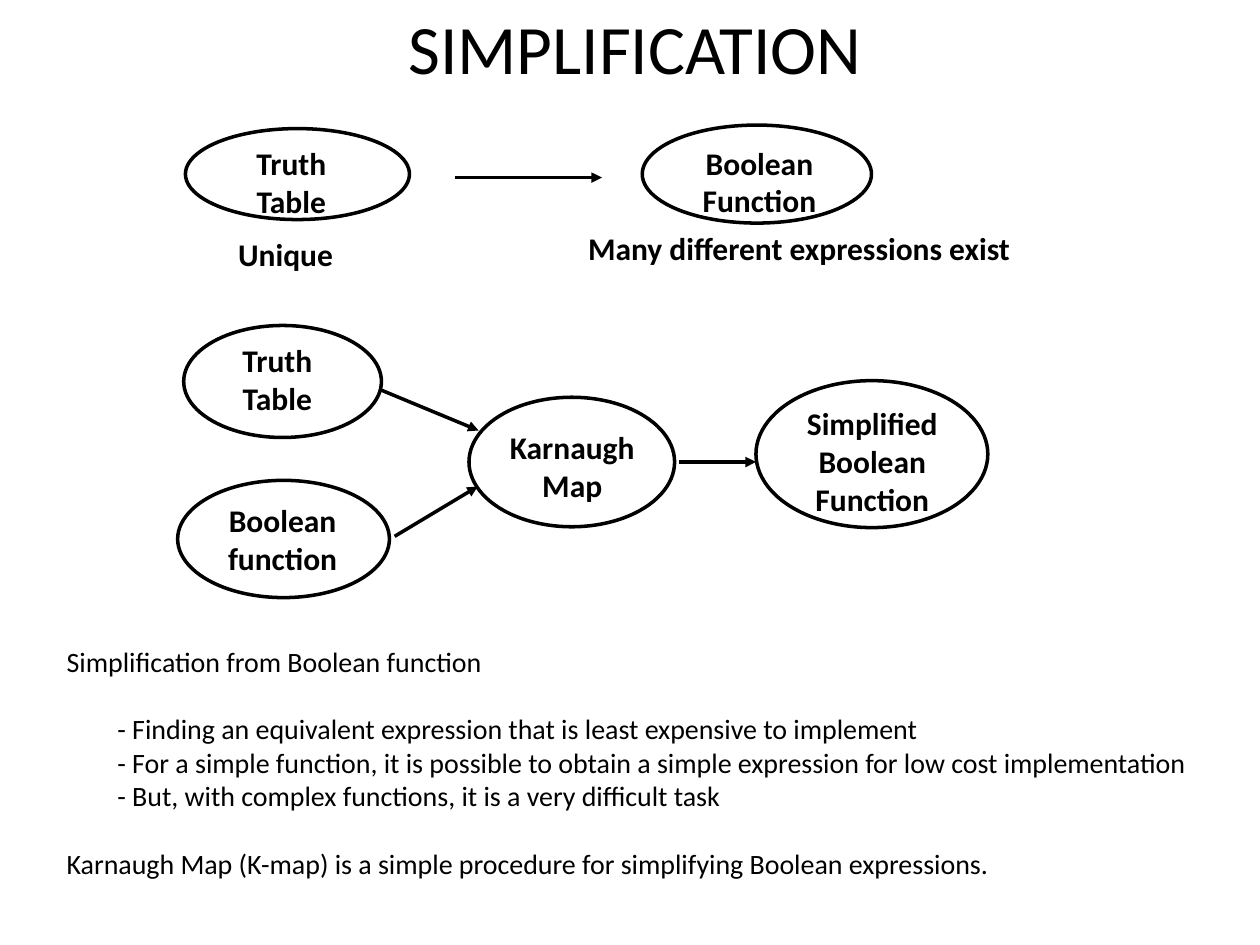
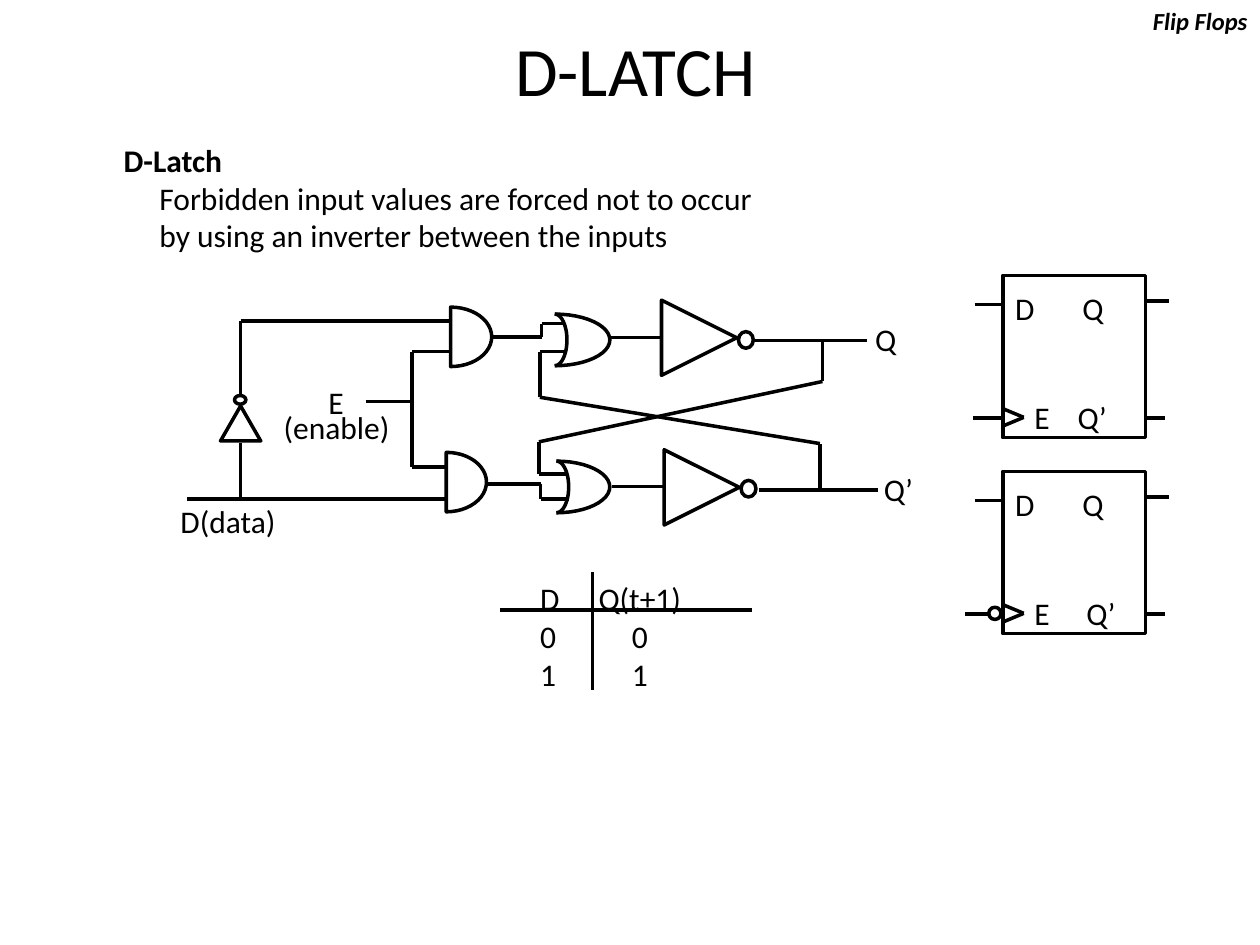
from math import cos, pi, sin

from lxml import etree
from pptx import Presentation
from pptx.dml.color import RGBColor
from pptx.enum.shapes import MSO_CONNECTOR, MSO_SHAPE
from pptx.enum.text import MSO_ANCHOR, MSO_AUTO_SIZE, PP_ALIGN
from pptx.oxml.ns import qn
from pptx.util import Pt

BLACK = RGBColor(0, 0, 0)
FONT = "Calibri"
LINE_WIDTH = Pt(2)
LEFT, CENTER, RIGHT = PP_ALIGN.LEFT, PP_ALIGN.CENTER, PP_ALIGN.RIGHT
MIDDLE = MSO_ANCHOR.MIDDLE
GROW, FIXED = MSO_AUTO_SIZE.SHAPE_TO_FIT_TEXT, MSO_AUTO_SIZE.NONE
STRAIGHT = MSO_CONNECTOR.STRAIGHT
OVAL, TRIANGLE, RECTANGLE = MSO_SHAPE.OVAL, MSO_SHAPE.ISOSCELES_TRIANGLE, MSO_SHAPE.RECTANGLE


def add_text(page, place, lines, align=LEFT, wrap=False, tab=None, **font_format):
    """Write one paragraph per line; tab is the place of a centred tab stop."""
    box = page.shapes.add_textbox(*map(Pt, place))
    frame = box.text_frame
    frame.word_wrap = wrap
    frame.auto_size = FIXED if wrap else GROW
    for number, line in enumerate(lines):
        para = frame.paragraphs[0] if number == 0 else frame.add_paragraph()
        para.alignment = align
        span = para.add_run()
        span.text = line
        for name, value in {"name": FONT, "size": Pt(18), **font_format}.items():
            setattr(span.font, name, value)
        span.font.color.rgb = BLACK
        if tab:
            stops = etree.SubElement(para._p.get_or_add_pPr(), qn("a:tabLst"))
            etree.SubElement(stops, qn("a:tab"), pos=str(Pt(tab)), algn="ctr")
    return frame


def add_route(page, *points, arrow=False):
    """Join the points one after another with straight connectors."""
    for start, end in zip(points, points[1:]):
        line = page.shapes.add_connector(STRAIGHT, *map(Pt, start + end))
        line.line.color.rgb = BLACK
        line.line.width = LINE_WIDTH
        if arrow:
            etree.SubElement(line.line._get_or_add_ln(), qn("a:tailEnd"), type="triangle")
        etree.SubElement(line._element.spPr, qn("a:effectLst"))


deck = Presentation()
deck.slide_width, deck.slide_height = Pt(720), Pt(540)
outlines = []
pages = []
for title, title_top in (("SIMPLIFICATION", 12), ("D-LATCH", 24.5)):
    page = deck.slides.add_slide(deck.slide_layouts[6])
    frame = add_text(page, (27.5, title_top, 671, 29.5), [title], CENTER, True, size=Pt(39.6))
    frame.vertical_anchor = MIDDLE
    pages.append(page)
simplification, latch = pages

# Simplification: flow diagram
STEPS = [
    ((106, 73.5, 128, 52), (136, 79, 61, 46), ["Truth", "Table"]),
    ((367, 71.5, 131, 56), (389, 78.5, 90, 46), ["Boolean", "Function"]),
    ((105, 186, 113, 64), (128, 191.5, 61, 46), ["Truth", "Table"]),
    ((101.5, 274.5, 121, 67), (119, 283, 85, 46), ["Boolean", "function"]),
    ((268, 227, 117.5, 74), (278, 241, 98, 46), ["Karnaugh", "Map"]),
    ((432, 217.5, 132.5, 84), (448.5, 227.5, 100, 66), ["Simplified", "Boolean", "Function"]),
]
for ellipse_place, label_place, label in STEPS:
    outlines.append(simplification.shapes.add_shape(OVAL, *map(Pt, ellipse_place)))
    add_text(simplification, label_place, label, CENTER, bold=True)
for start, end in [
    ((260, 101.5), (344, 101.5)),
    ((218, 223), (273.5, 246)),
    ((225.5, 306.5), (273, 278)),
    ((388, 264), (432, 264)),
]:
    add_route(simplification, start, end, arrow=True)
add_text(simplification, (129, 130.5, 75.5, 26.5), ["Unique"], bold=True)
add_text(simplification, (329, 127.5, 293, 26.5), ["Many different expressions exist"], bold=True)

# Simplification: explanation
explanation = add_text(simplification, (31, 364.5, 666, 142.5), [
    "Simplification from Boolean function",
    "- Finding an equivalent expression that is least expensive to implement",
    "- For a simple function, it is possible to obtain a simple expression for low cost implementation",
    "- But, with complex functions, it is a very difficult task",
    "Karnaugh Map (K-map) is a simple procedure for simplifying Boolean expressions.",
], wrap=True, size=Pt(16))
for para in explanation.paragraphs[1:4]:
    para._p.get_or_add_pPr().set("marL", str(Pt(29)))
for number in (1, 4):
    explanation.paragraphs[number].space_before = Pt(19.5)

# D-latch: heading
add_text(latch, (640, 0, 80, 22), ["Flip Flops"], RIGHT, size=Pt(14), bold=True, italic=True)
heading = add_text(latch, (63.5, 77, 406, 66), [
    "D-Latch",
    "Forbidden input values are forced not to occur",
    "by using an inverter between the inputs",
])
heading.paragraphs[0].runs[0].font.bold = True
for para in heading.paragraphs[1:]:
    para._p.get_or_add_pPr().set("marL", str(Pt(20.5)))

# D-latch: inverters
for kind, rotation, place in [
    (TRIANGLE, 90, (378, 171.5, 43, 43)),
    (OVAL, 0, (422, 189.5, 8.5, 9.5)),
    (TRIANGLE, 90, (379.5, 257, 43, 43)),
    (OVAL, 0, (423.5, 274.5, 8.5, 9.5)),
    (TRIANGLE, 0, (126, 232, 23, 20)),
    (OVAL, 0, (134, 226, 6.5, 5)),
]:
    shape = latch.shapes.add_shape(kind, *map(Pt, place))
    shape.rotation = rotation
    outlines.append(shape)

# D-latch: gates from half ellipses, closed for AND, a front and a back for OR
ARC_STEPS = 24
for left, top, bulge, height, closed in [
    (257.5, 175.5, 23.5, 34, True),
    (255, 258.5, 23, 34, True),
    (317, 179.5, 31.5, 29.5, False),
    (317, 179.5, 7, 29.5, False),
    (318, 263.5, 30.5, 29.5, False),
    (318, 263.5, 7, 29.5, False),
]:
    angles = [pi * step / ARC_STEPS for step in range(ARC_STEPS + 1)]
    arc = [
        (Pt(left + bulge * sin(angle)), Pt(top + height / 2 * (1 - cos(angle))))
        for angle in angles
    ]
    builder = latch.shapes.build_freeform(*arc[0], scale=1.0)
    builder.add_line_segments(arc[1:], close=closed)
    outlines.append(builder.convert_to_shape())

# D-latch: wires
for wire in [
    [(137.5, 226), (137.5, 183.5), (257.5, 183.5)],
    [(107, 285), (255, 285)],
    [(137.5, 285), (137.5, 253)],
    [(209, 229.5), (235, 229.5)],
    [(257.5, 201), (235.5, 201), (235.5, 267), (255, 267)],
    [(281.5, 192.5), (309.5, 192.5), (309.5, 185), (322, 185)],
    [(278, 276.5), (309, 276.5), (309, 285), (325, 285)],
    [(348.5, 193), (377, 193)],
    [(350, 278), (379.5, 278)],
    [(431, 194.5), (495.5, 194.5)],
    [(433.5, 280), (502, 280)],
    [(470, 194.5), (470, 218), (308, 252.5), (308, 271), (324, 271)],
    [(468.5, 280), (468.5, 253.5), (308.5, 227), (308.5, 201), (322.5, 201)],
]:
    add_route(latch, *wire)
for place, label in [
    ((493, 179.5, 28, 26.5), "Q"),
    ((498, 265, 32.5, 26.5), "Q’"),
    ((96, 283.5, 74, 26.5), "D(data)"),
    ((180.5, 215.5, 26, 26.5), "E"),
    ((155, 229.5, 80, 26.5), "(enable)"),
]:
    add_text(latch, place, [label])

# D-latch: block symbols, the second with an inverted clock
BLOCK_LEFT, BLOCK_WIDTH = 573, 81.5
BLOCK_RIGHT = BLOCK_LEFT + BLOCK_WIDTH
for top, clock_start, clock_end, output_tab in [
    (157.5, 556, 574.5, 33),
    (269.5, 551.5, 564.5, 38),
]:
    block = latch.shapes.add_shape(RECTANGLE, *map(Pt, (BLOCK_LEFT, top, BLOCK_WIDTH, 92.5)))
    outlines.append(block)
    clock = top + 81.5
    add_route(latch, (557, top + 16.5), (574.5, top + 16.5))
    add_route(latch, (BLOCK_RIGHT, top + 14.5), (668, top + 14.5))
    add_route(latch, (clock_start, clock), (clock_end, clock))
    add_route(latch, (BLOCK_RIGHT, clock), (665.5, clock))
    add_route(latch, (BLOCK_LEFT, clock - 5.5), (585, clock - 0.5), (BLOCK_LEFT, clock + 4.5))
    add_text(latch, (BLOCK_LEFT, top + 4, BLOCK_WIDTH, 26.5), ["D\tQ"], wrap=True, tab=44.5)
    add_text(latch, (584, top + 66.5, 70, 26.5), ["E\tQ’"], wrap=True, tab=output_tab)
outlines.append(latch.shapes.add_shape(OVAL, *map(Pt, (565, 347, 7, 7))))

# D-latch: next-state table
add_text(latch, (301.5, 327.5, 109, 66), ["D\tQ(t+1)", "0\t0", "1\t1"], wrap=True, tab=57)
add_route(latch, (286, 348.5), (430, 348.5))
add_route(latch, (338.5, 327), (338.5, 394.5))

for shape in outlines:
    shape.shadow.inherit = False
    shape.fill.background()
    shape.line.color.rgb = BLACK
    shape.line.width = LINE_WIDTH

deck.save("out.pptx")
